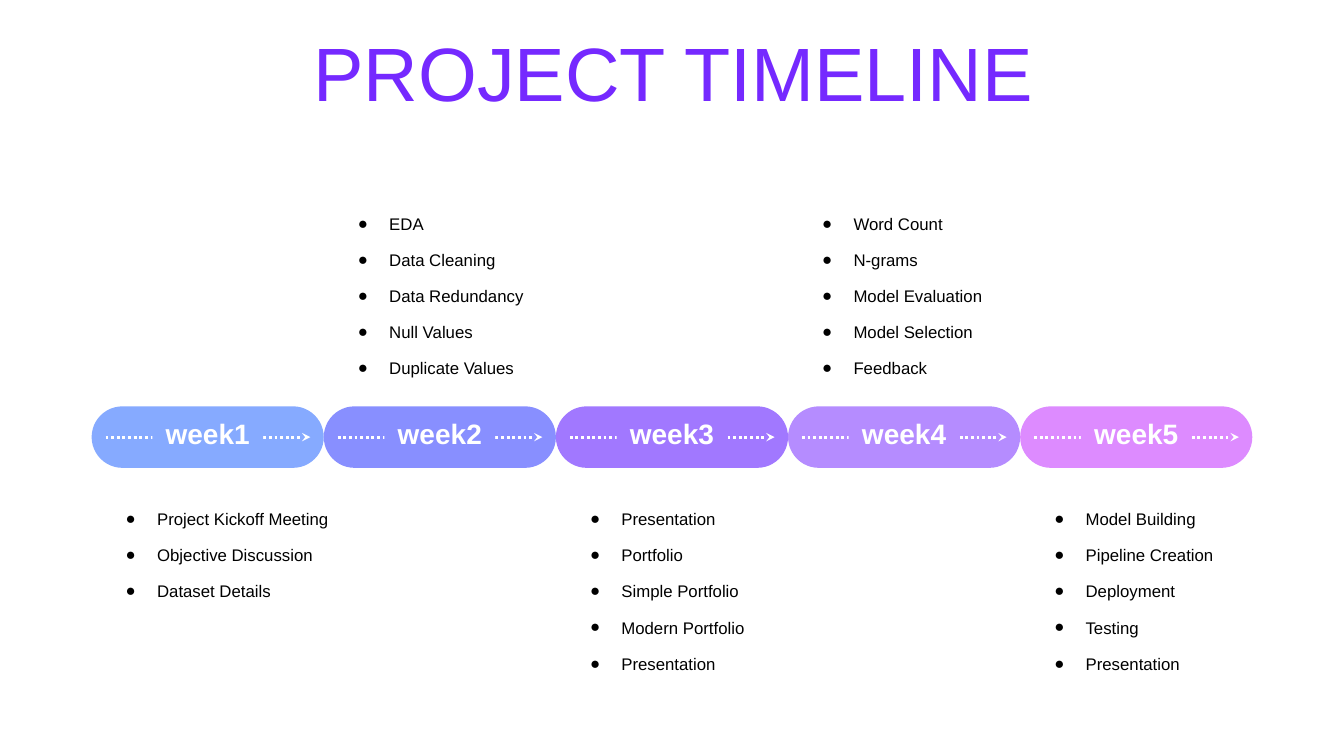
from dataclasses import dataclass

from lxml.etree import SubElement
from pptx import Presentation
from pptx.dml.color import RGBColor
from pptx.enum.dml import MSO_LINE_DASH_STYLE as Dash
from pptx.enum.shapes import MSO_CONNECTOR as Connector, MSO_SHAPE as Shape
from pptx.enum.text import MSO_ANCHOR as Anchor, PP_ALIGN as Align
from pptx.oxml.ns import qn
from pptx.util import Cm, Pt


@dataclass(frozen=True)
class Theme:
    font: str = "Arial"
    title_color: str = "7529FF"
    text_color: str = "000000"
    light: str = "FFFFFF"
    title_size: float = 54
    week_size: float = 20
    item_size: float = 12


THEME = Theme()

WEEKS = [
    ("week1", "86AAFF", ["Project Kickoff Meeting", "Objective Discussion", "Dataset Details"]),
    ("week2", "888FFF", ["EDA", "Data Cleaning", "Data Redundancy", "Null Values", "Duplicate Values"]),
    ("week3", "A178FF", ["Presentation", "Portfolio", "Simple Portfolio", "Modern Portfolio", "Presentation"]),
    ("week4", "B58CFF", ["Word Count", "N-grams", "Model Evaluation", "Model Selection", "Feedback"]),
    ("week5", "DD8BFF", ["Model Building", "Pipeline Creation", "Deployment", "Testing", "Presentation"]),
]

TIMELINE_LEFT = 2.31
WEEK_WIDTH = 5.85
PILL_TOP = 10.24
PILL_HEIGHT = 1.55
UPPER_LIST_TOP = 5.36
LOWER_LIST_TOP = 12.8
ITEM_HEIGHT = 0.66
ITEM_PITCH = 0.89


def add_bullet(paragraph, indent):
    properties = paragraph._p.get_or_add_pPr()
    properties.set("marL", str(indent))
    properties.set("indent", str(-indent))
    SubElement(properties, qn("a:buFont"), typeface=THEME.font)
    SubElement(properties, qn("a:buChar"), char="●")


def write_text(shape, lines, *, size, color, bold=False, align=Align.LEFT, anchor=Anchor.TOP,
               line_spacing=1.0, before=0, after=0, bullet_indent=None):
    frame = shape.text_frame
    frame.word_wrap = True
    frame.vertical_anchor = anchor
    frame.text = "\n".join(lines)
    for paragraph in frame.paragraphs:
        paragraph.alignment = align
        paragraph.line_spacing = line_spacing
        paragraph.space_before = Pt(before)
        paragraph.space_after = Pt(after)
        if bullet_indent:
            add_bullet(paragraph, bullet_indent)
        font = paragraph.runs[0].font
        font.name = THEME.font
        font.size = Pt(size)
        font.bold = bold
        font.color.rgb = RGBColor.from_string(color)


def add_block(slide, kind, left, top, width, height, color):
    shape = slide.shapes.add_shape(kind, Cm(left), Cm(top), Cm(width), Cm(height))
    shape.shadow.inherit = False
    shape.fill.solid()
    shape.fill.fore_color.rgb = RGBColor.from_string(color)
    shape.line.fill.background()
    return shape


def add_dotted_arrow(slide, left, right, y):
    arrow = slide.shapes.add_connector(Connector.STRAIGHT, Cm(left), Cm(y), Cm(right), Cm(y))
    arrow.line.color.rgb = RGBColor.from_string(THEME.light)
    arrow.line.width = Pt(2)
    arrow.line.dash_style = Dash.ROUND_DOT
    SubElement(arrow.line._get_or_add_ln(), qn("a:tailEnd"), type="stealth")
    SubElement(arrow._element.spPr, qn("a:effectLst"))


def add_title(slide, title):
    box = slide.shapes.add_textbox(Cm(0.89), Cm(0.94), Cm(32.16), Cm(2.01))
    write_text(box, [title], size=THEME.title_size, color=THEME.title_color, align=Align.CENTER,
               anchor=Anchor.MIDDLE, line_spacing=0.9, before=10)


def add_week(slide, left, name, color):
    pill = add_block(slide, Shape.ROUNDED_RECTANGLE, left, PILL_TOP, WEEK_WIDTH, PILL_HEIGHT, color)
    pill.adjustments[0] = 0.5
    add_dotted_arrow(slide, left + 0.35, left + 5.51, PILL_TOP + PILL_HEIGHT / 2)
    label = add_block(slide, Shape.RECTANGLE, left + 1.53, PILL_TOP + 0.12, 2.79, 1.12, color)
    write_text(label, [name], size=THEME.week_size, color=THEME.light, bold=True, align=Align.CENTER)


def add_list(slide, left, top, items):
    height = ITEM_HEIGHT + ITEM_PITCH * (len(items) - 1)
    box = slide.shapes.add_textbox(Cm(left), Cm(top), Cm(5.7), Cm(height))
    write_text(box, items, size=THEME.item_size, color=THEME.text_color, line_spacing=0.8,
               after=14.25, bullet_indent=Cm(0.79))


def main():
    presentation = Presentation()
    presentation.slide_width = Cm(33.87)
    presentation.slide_height = Cm(19.05)
    slide = presentation.slides.add_slide(presentation.slide_layouts[6])
    add_title(slide, "PROJECT TIMELINE")
    for index, (name, color, items) in enumerate(WEEKS):
        left = TIMELINE_LEFT + index * WEEK_WIDTH
        add_week(slide, left, name, color)
        add_list(slide, left + 0.61, UPPER_LIST_TOP if index % 2 else LOWER_LIST_TOP, items)
    presentation.save("out.pptx")


if __name__ == "__main__":
    main()
